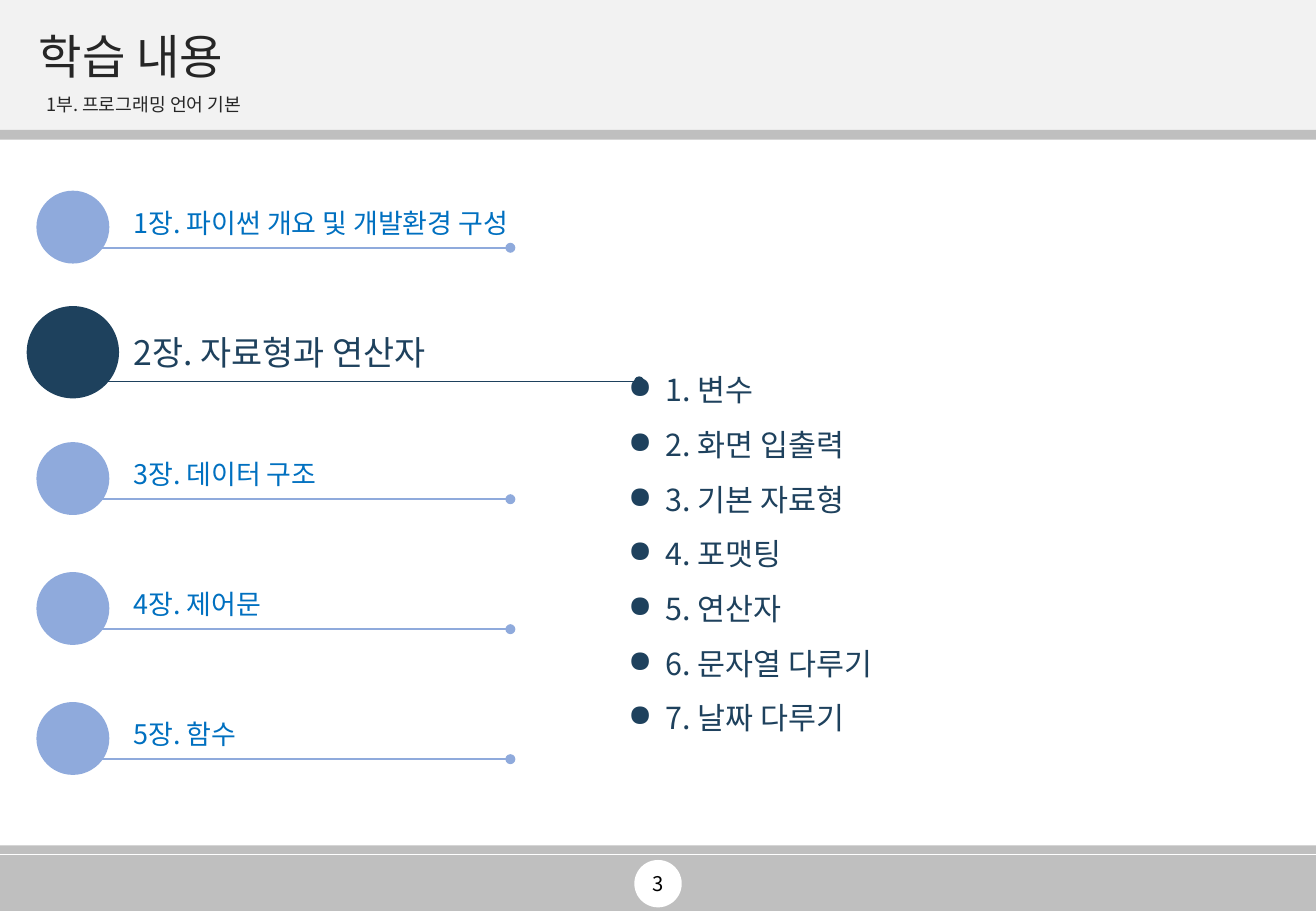
"""Build the chapter overview slide with chapter two opened."""
from dataclasses import dataclass

import pptx
import pptx.dml.color
import pptx.enum.shapes
import pptx.enum.text
import pptx.oxml.ns
import pptx.util
from lxml import etree

FONT = "Noto Sans CJK KR"
NAVY, SKY, BLUE = "1E415D", "8FAADC", "0070C0"
GRAY, PALE, WHITE, INK = "BFBFBF", "F2F2F2", "FFFFFF", "262626"
WIDE, HIGH = 1083, 750
KIND = pptx.enum.shapes.MSO_SHAPE
ANCHOR = pptx.enum.text.MSO_ANCHOR
ALIGN = pptx.enum.text.PP_ALIGN


@dataclass
class Band:
    top: int
    high: int
    color: str


@dataclass
class Style:
    size: float
    color: str
    anchor: ANCHOR = ANCHOR.TOP
    align: ALIGN = ALIGN.LEFT
    space: float = 1.0
    bullet: str = ""
    inset: int = 10


@dataclass
class Look:
    dot: int
    drop: int
    end: int
    rise: int
    fill: str
    text: Style


@dataclass
class Chapter:
    label: str
    mid: int
    wide: int
    look: Look


PLAIN = Look(60, 17, 420, 39, SKY, Style(16, BLUE))
OPEN = Look(76, 24, 526, 46, NAVY, Style(20, NAVY))
BANDS = [
    Band(704, 46, GRAY),
    Band(696, 7, GRAY),
    Band(0, 107, PALE),
    Band(107, 8, GRAY),
]
CHAPTERS = [
    Chapter("1장. 파이썬 개요 및 개발환경 구성", 187, 355, PLAIN),
    Chapter("2장. 자료형과 연산자", 290, 462, OPEN),
    Chapter("3장. 데이터 구조", 394, 254, PLAIN),
    Chapter("4장. 제어문", 501, 254, PLAIN),
    Chapter("5장. 함수", 608, 254, PLAIN),
]
TOPICS = ["변수", "화면 입출력", "기본 자료형", "포맷팅", "연산자", "문자열 다루기", "날짜 다루기"]


def px(num: int) -> pptx.util.Emu:
    """Turn px into EMU at 100 px to the inch."""
    return pptx.util.Emu(num * 9144)


def rgb(code: str) -> pptx.dml.color.RGBColor:
    """Turn a hex string into a colour."""
    return pptx.dml.color.RGBColor.from_string(code)


def add_tag(node, name: str, **attrs: str):
    """Append a drawing element to a node."""
    return etree.SubElement(node, pptx.oxml.ns.qn(name), attrs)


def draw_shape(slide, kind: KIND, left: int, top: int, wide: int, high: int, color: str) -> None:
    """Draw a flat filled shape."""
    shape = slide.shapes.add_shape(kind, px(left), px(top), px(wide), px(high))
    shape.shadow.inherit = False
    shape.fill.solid()
    shape.fill.fore_color.rgb = rgb(color)
    shape.line.fill.background()


def draw_text(slide, left: int, top: int, wide: int, high: int,
              lines: list[str], style: Style) -> None:
    """Draw a text box with one paragraph for each line."""
    frame = slide.shapes.add_textbox(px(left), px(top), px(wide), px(high)).text_frame
    frame.word_wrap = True
    frame.vertical_anchor = style.anchor
    frame.margin_left = px(style.inset)
    for i, line in enumerate(lines):
        para = frame.add_paragraph() if i else frame.paragraphs[0]
        para.alignment = style.align
        para.line_spacing = style.space
        if style.bullet:
            props = para._p.get_or_add_pPr()
            props.set("marL", str(px(31)))
            props.set("indent", str(px(-31)))
            add_tag(props, "a:buChar", char=style.bullet)
        run = para.add_run()
        run.text = line
        run.font.size = pptx.util.Pt(style.size)
        run.font.color.rgb = rgb(style.color)
        run.font.name = FONT
        add_tag(run.font._element, "a:ea", typeface=FONT)


def draw_rule(slide, left: int, right: int, top: int, color: str) -> None:
    """Draw a level line that ends in a dot."""
    rule = slide.shapes.add_connector(
        pptx.enum.shapes.MSO_CONNECTOR.STRAIGHT, px(left), px(top), px(right), px(top))
    rule.line.width = pptx.util.Pt(1)
    rule.line.color.rgb = rgb(color)
    add_tag(rule.line._get_or_add_ln(), "a:tailEnd", type="oval")
    add_tag(rule._element.spPr, "a:effectLst")


def draw_chapter(slide, item: Chapter) -> None:
    """Draw the circle, rule and label of a chapter."""
    look = item.look
    half = look.dot // 2
    base = item.mid + look.drop
    draw_shape(slide, KIND.OVAL, 60 - half, item.mid - half, look.dot, look.dot, look.fill)
    draw_rule(slide, 79, look.end, base, look.fill)
    draw_text(slide, 100, base - look.rise, item.wide, look.rise - 2, [item.label], look.text)


def main() -> None:
    """Build and save the slide."""
    deck = pptx.Presentation()
    deck.slide_width, deck.slide_height = px(WIDE), px(HIGH)
    slide = deck.slides.add_slide(deck.slide_layouts[6])
    for band in BANDS:
        draw_shape(slide, KIND.RECTANGLE, 0, band.top, WIDE, band.high, band.color)
    draw_shape(slide, KIND.OVAL, 522, 708, 39, 39, WHITE)
    draw_text(slide, 420, 708, 244, 39, ["3"],
              Style(12, "000000", ANCHOR.MIDDLE, ALIGN.CENTER))
    draw_text(slide, 22, 21, 1039, 55, ["학습 내용"],
              Style(28, INK, ANCHOR.MIDDLE, space=0.9))
    draw_text(slide, 30, 76, 1032, 24, ["1부. 프로그래밍 언어 기본"],
              Style(10.8, INK, ANCHOR.MIDDLE, space=0.7, inset=8))
    for item in CHAPTERS:
        draw_chapter(slide, item)
    topics = [f"{i}. {name}" for i, name in enumerate(TOPICS, 1)]
    draw_text(slide, 507, 286, 538, 328, topics, Style(18, NAVY, space=1.5, bullet="●"))
    deck.save("out.pptx")


if __name__ == "__main__":
    main()
